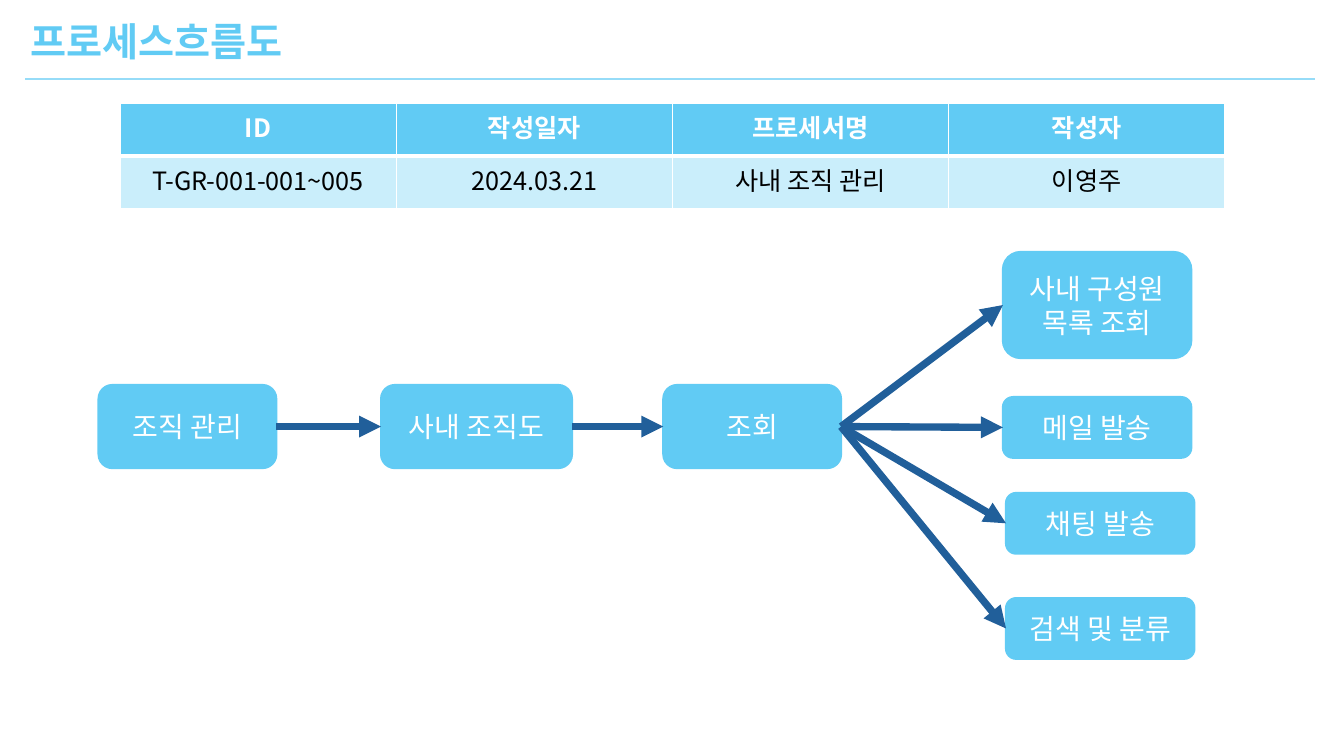
from lxml.etree import SubElement
from pptx import Presentation
from pptx.dml.color import RGBColor
from pptx.enum.shapes import MSO_CONNECTOR, MSO_SHAPE
from pptx.enum.text import MSO_ANCHOR, PP_ALIGN
from pptx.oxml.ns import qn
from pptx.util import Pt

SKY = RGBColor(0x61, 0xCB, 0xF4)
PALE_SKY = RGBColor(0xCA, 0xEE, 0xFB)
RULE_BLUE = RGBColor(0x96, 0xDC, 0xF8)
NAVY = RGBColor(0x21, 0x5F, 0x9A)
WHITE = RGBColor(0xFF, 0xFF, 0xFF)
BLACK = RGBColor(0x00, 0x00, 0x00)
FONT = "Noto Sans CJK KR"


def write(frame, text, size, color, bold, align):
    frame.text = text
    paragraph = frame.paragraphs[0]
    paragraph.alignment = align
    font = paragraph.runs[0].font
    font.size, font.bold, font.name = Pt(size), bold, FONT
    font.color.rgb = color
    SubElement(font._element, qn("a:ea"), typeface=FONT)


def draw_line(start, end, color, width):
    line = slide.shapes.add_connector(
        MSO_CONNECTOR.STRAIGHT, *[Pt(value) for value in start + end])
    line.line.color.rgb = color
    line.line.width = Pt(width)
    SubElement(line._element.spPr, qn("a:effectLst"))
    return line


presentation = Presentation()
presentation.slide_width, presentation.slide_height = Pt(960), Pt(540)
slide = presentation.slides.add_slide(presentation.slide_layouts[5])

title = slide.shapes.title
title.left, title.top, title.width, title.height = Pt(14.4), Pt(8.6), Pt(212.4), Pt(41.2)
title.text_frame.word_wrap = False
title.text_frame.vertical_anchor = MSO_ANCHOR.TOP
write(title.text_frame, "프로세스흐름도", 28, SKY, True, PP_ALIGN.LEFT)
draw_line((18, 56.2), (939.6, 56.2), RULE_BLUE, 1.5)

summary_rows = [
    ("ID", "작성일자", "프로세서명", "작성자"),
    ("T-GR-001-001~005", "2024.03.21", "사내 조직 관리", "이영주"),
]
row_styles = [(SKY, WHITE, True, 1, 3), (PALE_SKY, BLACK, False, 3, 1)]
summary = slide.shapes.add_table(2, 4, Pt(85.7), Pt(73.8), Pt(789.2), Pt(75.2)).table
for row, (texts, style) in enumerate(zip(summary_rows, row_styles)):
    fill, color, bold, top_border, bottom_border = style
    for column, text in enumerate(texts):
        cell = summary.cell(row, column)
        borders = {"a:lnL": 1, "a:lnR": 1, "a:lnT": top_border, "a:lnB": bottom_border}
        for side, width in borders.items():
            border = SubElement(cell._tc.get_or_add_tcPr(), qn(side), w=str(Pt(width)))
            border_fill = SubElement(border, qn("a:solidFill"))
            SubElement(border_fill, qn("a:srgbClr"), val=str(WHITE))
        cell.fill.solid()
        cell.fill.fore_color.rgb = fill
        write(cell.text_frame, text, 18, color, bold, PP_ALIGN.CENTER)

steps = [
    ("조직 관리", 70.4, 275, 127, 59.4),
    ("사내 조직도", 272.2, 275, 136.4, 59.4),
    ("조회", 473.8, 275, 127, 59.4),
    ("사내 구성원 목록 조회", 716.4, 180, 134.6, 75.8),
    ("메일 발송", 716.4, 283.6, 134.6, 43.4),
    ("채팅 발송", 718.6, 352.1, 134.6, 43.4),
    ("검색 및 분류", 718.6, 427.2, 134.6, 43.4),
]
step_boxes = []
for text, left, top, width, height in steps:
    box = slide.shapes.add_shape(
        MSO_SHAPE.ROUNDED_RECTANGLE, Pt(left), Pt(top), Pt(width), Pt(height))
    box.shadow.inherit = False
    box.fill.solid()
    box.fill.fore_color.rgb = SKY
    box.line.color.rgb = SKY
    box.line.width = Pt(1.5)
    box.text_frame.word_wrap = True
    box.text_frame.vertical_anchor = MSO_ANCHOR.MIDDLE
    write(box.text_frame, text, 20, WHITE, False, PP_ALIGN.CENTER)
    step_boxes.append(box)

flows = [(0, 1), (1, 2)] + [(2, outcome) for outcome in range(3, 7)]
for source, target in flows:
    arrow = draw_line((0, 0), (0, 0), NAVY, 5.25)
    arrow.begin_connect(step_boxes[source], 3)
    arrow.end_connect(step_boxes[target], 1)
    SubElement(arrow.line._get_or_add_ln(), qn("a:tailEnd"), type="triangle")

presentation.save("out.pptx")
